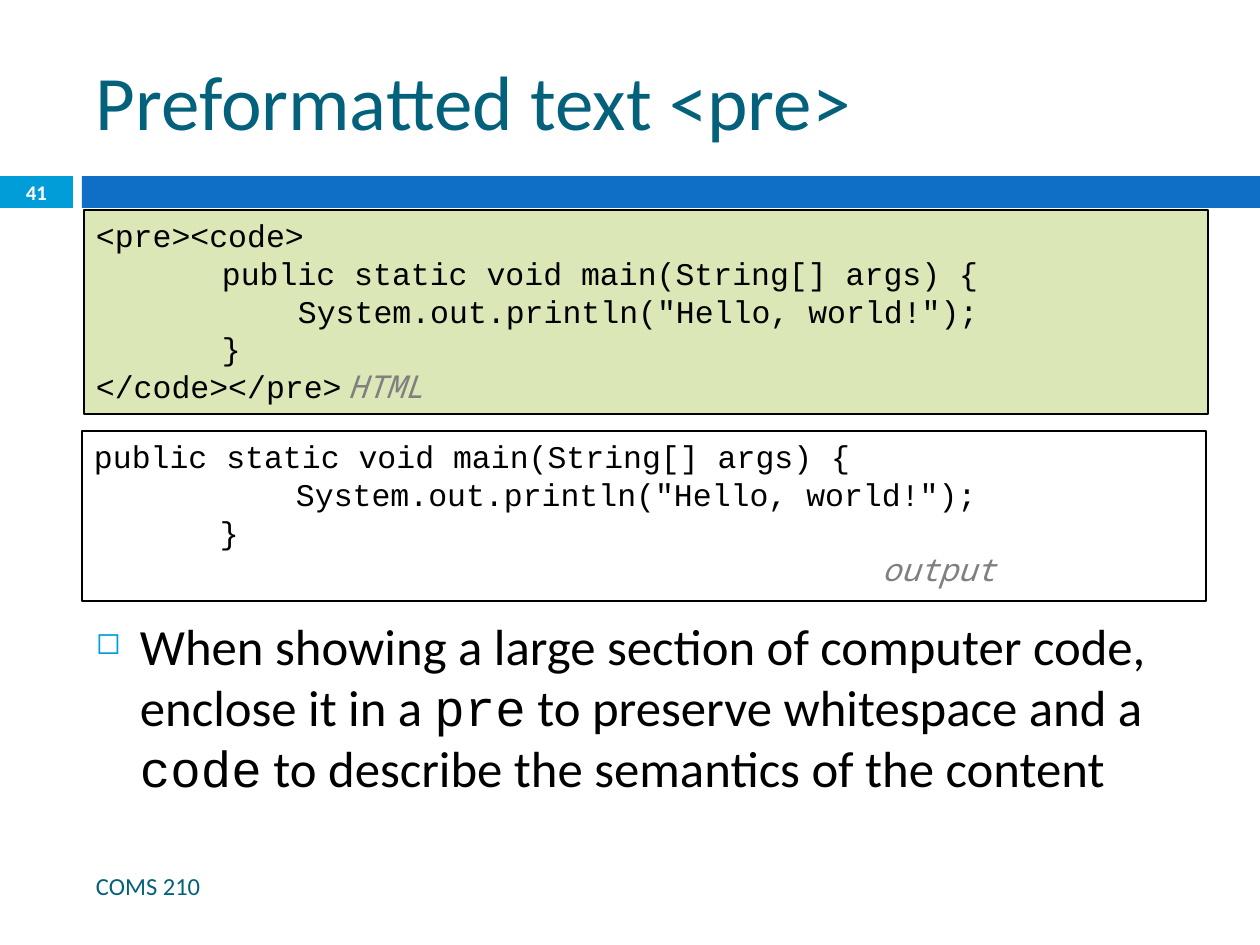
from lxml.etree import SubElement
from pptx import Presentation
from pptx.dml.color import RGBColor
from pptx.enum.shapes import MSO_SHAPE
from pptx.enum.text import MSO_ANCHOR, PP_ALIGN
from pptx.oxml.ns import qn
from pptx.util import Pt

PX = 914400 / 126
COLORS = {
    "title": "04617B", "accent": "009DD9", "bar": "0F6FC6",
    "code": "DBE7B6", "label": "808080", "black": "000000", "white": "FFFFFF",
}
CODE_FONT = "Courier New"
LABEL = dict(font="Noto Sans Mono", color="label", italic=True)
TAB = 126
DEEP = 202  # one tab and four characters


def px(n):
    return round(n * PX)


def rgb(name):
    return RGBColor.from_string(COLORS[name])


def add_text(p, text, size=18, font="Calibri", color="black", bold=False, italic=False):
    r = p.add_run()
    r.text = text
    f = r.font
    f.size, f.name, f.bold, f.italic = Pt(size), font, bold, italic
    f.color.rgb = rgb(color)


def set_frame(tf, anchor=MSO_ANCHOR.TOP):
    tf.word_wrap = True
    tf.vertical_anchor = anchor
    tf.margin_left = tf.margin_right = px(12)
    tf.margin_top = tf.margin_bottom = px(6)
    return tf.paragraphs[0]


def add_box(s, box, fill=None, line=None):
    sp = s.shapes.add_shape(MSO_SHAPE.RECTANGLE, *map(px, box))
    sp.shadow.inherit = False
    if fill:
        sp.fill.solid()
        sp.fill.fore_color.rgb = rgb(fill)
    else:
        sp.fill.background()
    if line:
        sp.line.color.rgb = rgb(line)
        sp.line.width = Pt(1.5)
    else:
        sp.line.fill.background()
    return sp


def add_textbox(s, box, anchor=MSO_ANCHOR.TOP):
    """Add a wrapping text box and return its first paragraph."""
    return set_frame(s.shapes.add_textbox(*map(px, box)).text_frame, anchor)


def indent(p, left, first=0):
    pPr = p._p.get_or_add_pPr()
    pPr.set("marL", str(px(left)))
    pPr.set("indent", str(px(first)))
    return pPr


def add_tab_stop(p, pos):
    tabs = SubElement(p._p.get_or_add_pPr(), qn("a:tabLst"))
    SubElement(tabs, qn("a:tab"), pos=str(px(pos)), algn="l")


def add_bullet(p, char, color, percent):
    pPr = indent(p, 44, -44)
    clr = SubElement(pPr, qn("a:buClr"))
    SubElement(clr, qn("a:srgbClr"), val=COLORS[color])
    SubElement(pPr, qn("a:buSzPct"), val=str(percent * 1000))
    SubElement(pPr, qn("a:buChar"), char=char)


def add_code_box(s, box, lines, fill=None):
    """Add a framed listing of (indent, text) lines and return its last paragraph."""
    tf = add_box(s, box, fill, "black").text_frame
    set_frame(tf)
    for i, (left, text) in enumerate(lines):
        p = tf.add_paragraph() if i else tf.paragraphs[0]
        p.alignment = PP_ALIGN.LEFT
        indent(p, left)
        add_text(p, text, font=CODE_FONT)
    return p


def add_title(s, text):
    sp = s.shapes.title
    sp.left, sp.top, sp.width, sp.height = map(px, (84, 32, 1124, 136))
    p = set_frame(sp.text_frame, MSO_ANCHOR.MIDDLE)
    p.alignment = PP_ALIGN.LEFT
    add_text(p, text, size=44, color="title")


def main():
    prs = Presentation()
    prs.slide_width, prs.slide_height = px(1260), px(945)
    s = prs.slides.add_slide(prs.slide_layouts[5])

    add_box(s, (0, 176, 73, 32), "accent")
    add_box(s, (82, 176, 1178, 32), "bar")
    add_title(s, "Preformatted text <pre>")
    p = add_textbox(s, (0, 175, 73, 34), MSO_ANCHOR.MIDDLE)
    p.alignment = PP_ALIGN.CENTER
    add_text(p, "41", size=11.9, color="white", bold=True)

    signature = "public static void main(String[] args) {"
    body = (DEEP, 'System.out.println("Hello, world!");')
    p = add_code_box(s, (84, 210, 1124, 204), [
        (0, "<pre><code>"), (TAB, signature), body, (TAB, "}"), (0, "</code></pre>"),
    ], "code")
    add_tab_stop(p, 1021)
    add_text(p, "\tHTML", **LABEL)

    p = add_code_box(s, (82, 431, 1124, 170), [(0, signature), body, (TAB, "}"), (788, "")])
    add_text(p, "output", **LABEL)

    p = add_textbox(s, (84, 609, 1124, 220))
    p.space_before = Pt(7)
    add_bullet(p, "◻", "accent", 60)
    for text, font in [
        ("When showing a large section of computer code, enclose it in a ", "Calibri"),
        ("pre", CODE_FONT),
        (" to preserve whitespace and a ", "Calibri"),
        ("code", CODE_FONT),
        (" to describe the semantics of the content", "Calibri"),
    ]:
        add_text(p, text, size=29, font=font)

    p = add_textbox(s, (84, 861, 747, 50), MSO_ANCHOR.MIDDLE)
    add_text(p, "COMS 210", size=14, color="title")
    prs.save("out.pptx")


if __name__ == "__main__":
    main()
